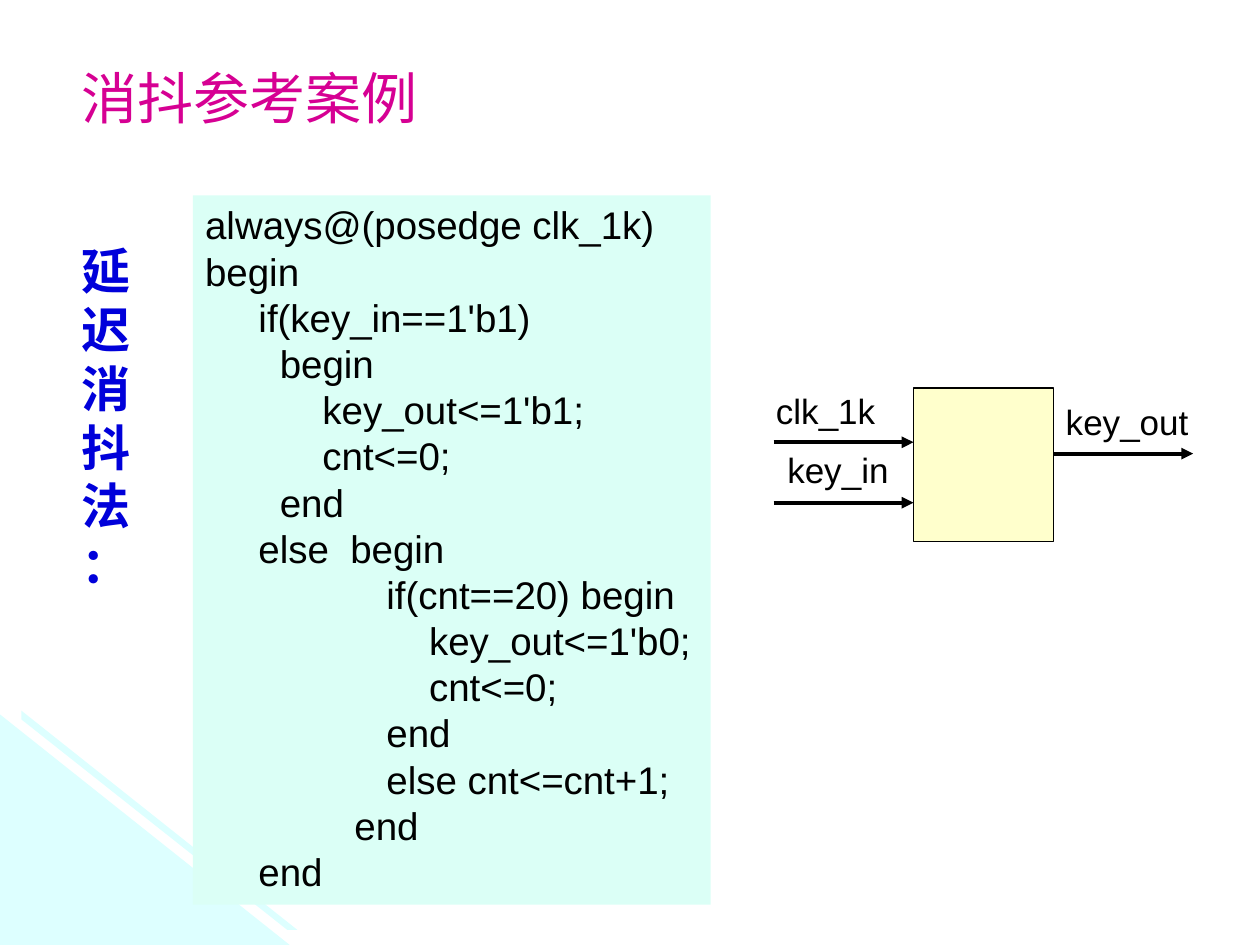
from lxml.etree import SubElement
from pptx import Presentation
from pptx.dml.color import RGBColor
from pptx.enum.shapes import MSO_CONNECTOR, MSO_SHAPE
from pptx.enum.text import MSO_ANCHOR, PP_ALIGN
from pptx.oxml.ns import qn
from pptx.util import Inches, Pt

BLACK = RGBColor(0x00, 0x00, 0x00)
BLUE = RGBColor(0x00, 0x00, 0xDA)
MAGENTA = RGBColor(0xD6, 0x00, 0x93)
PALE_CYAN = RGBColor(0xDD, 0xFF, 0xFF)
PALE_GREEN = RGBColor(0xDB, 0xFF, 0xF6)
PALE_YELLOW = RGBColor(0xFF, 0xFF, 0xCC)

CODE = """always@(posedge clk_1k)
begin
     if(key_in==1'b1)
       begin
           key_out<=1'b1;
           cnt<=0;
       end
     else  begin
                 if(cnt==20) begin
                     key_out<=1'b0;
                     cnt<=0;
                 end
                 else cnt<=cnt+1;
              end
     end"""


def write_text(shape, text, font_name, size, color, bold=False):
    """Fill a shape with left-aligned text in one font."""
    text_frame = shape.text_frame
    text_frame.word_wrap = True
    text_frame.text = text
    for paragraph in text_frame.paragraphs:
        paragraph.alignment = PP_ALIGN.LEFT
        for run in paragraph.runs:
            run.font.name = font_name
            run.font.size = Pt(size)
            run.font.bold = bold
            run.font.color.rgb = color


def add_label(slide, text, left, top, width, height, font_name="Arial", size=20,
              color=BLACK, bold=False):
    """Add a text box."""
    label = slide.shapes.add_textbox(Inches(left), Inches(top), Inches(width), Inches(height))
    write_text(label, text, font_name, size, color, bold)


def add_box(slide, preset, left, top, width, height, fill, outlined=False):
    """Add a filled preset shape and return it."""
    box = slide.shapes.add_shape(preset, Inches(left), Inches(top), Inches(width), Inches(height))
    box.shadow.inherit = False
    box.fill.solid()
    box.fill.fore_color.rgb = fill
    if outlined:
        box.line.color.rgb = BLACK
        box.line.width = Pt(0.75)
    else:
        box.line.fill.background()
    return box


def add_arrow(slide, left, y, length=1.11):
    """Add a horizontal arrow that points right."""
    arrow = slide.shapes.add_connector(
        MSO_CONNECTOR.STRAIGHT, Inches(left), Inches(y), Inches(left + length), Inches(y))
    arrow.line.color.rgb = BLACK
    arrow.line.width = Pt(2.25)
    SubElement(arrow.line._get_or_add_ln(), qn("a:tailEnd"), type="triangle")
    SubElement(arrow._element.spPr, qn("a:effectLst"))


def add_corner(slide):
    """Add the corner triangle with its parallel stripe, in hundredths of an inch."""
    builder = slide.shapes.build_freeform(0, 567, scale=Inches(0.01))
    builder.add_line_segments([(230, 750), (0, 750)])
    builder.move_to(17, 564)
    builder.add_line_segments([(236, 738), (228, 738), (17, 571)])
    corner = builder.convert_to_shape()
    corner.shadow.inherit = False
    corner.fill.solid()
    corner.fill.fore_color.rgb = PALE_CYAN
    corner.line.fill.background()


def add_title(slide, text):
    """Place and format the title placeholder."""
    title = slide.shapes.title
    title.left, title.top = Inches(0.55), Inches(0.31)
    title.width, title.height = Inches(6.22), Inches(0.93)
    write_text(title, text, "Karla", 32, MAGENTA)
    title.text_frame.vertical_anchor = MSO_ANCHOR.MIDDLE


def add_code(slide):
    """Add the code listing on its panel."""
    panel = add_box(slide, MSO_SHAPE.RECTANGLE, 1.53, 1.55, 4.11, 5.63, PALE_GREEN)
    write_text(panel, CODE, "Arial", 22, BLACK)
    panel.text_frame.vertical_anchor = MSO_ANCHOR.TOP
    for paragraph in panel.text_frame.paragraphs:
        paragraph.line_spacing = Pt(26.4)


def add_block_diagram(slide):
    """Add the debounce block with its inputs and output."""
    add_box(slide, MSO_SHAPE.FLOWCHART_PROCESS, 7.25, 3.08, 1.11, 1.22, PALE_YELLOW, outlined=True)
    for left, y in ((6.14, 3.51), (6.14, 3.99), (8.36, 3.6)):
        add_arrow(slide, left, y)
    add_label(slide, "clk_1k", 6.06, 3.04, 1.11, 0.44)
    add_label(slide, "key_in", 6.15, 3.51, 1.07, 0.44)
    add_label(slide, "key_out", 8.36, 3.13, 1.41, 0.44)


def main():
    """Build and save the slide."""
    presentation = Presentation()
    presentation.slide_width = Inches(10)
    presentation.slide_height = Inches(7.5)
    slide = presentation.slides.add_slide(presentation.slide_layouts[5])
    add_corner(slide)
    add_title(slide, "消抖参考案例")
    add_label(slide, "延迟消抖\n法\n：", 0.55, 1.86, 0.67, 2.9, "Times New Roman", 28, BLUE, True)
    add_block_diagram(slide)
    add_code(slide)
    presentation.save("out.pptx")


if __name__ == "__main__":
    main()
